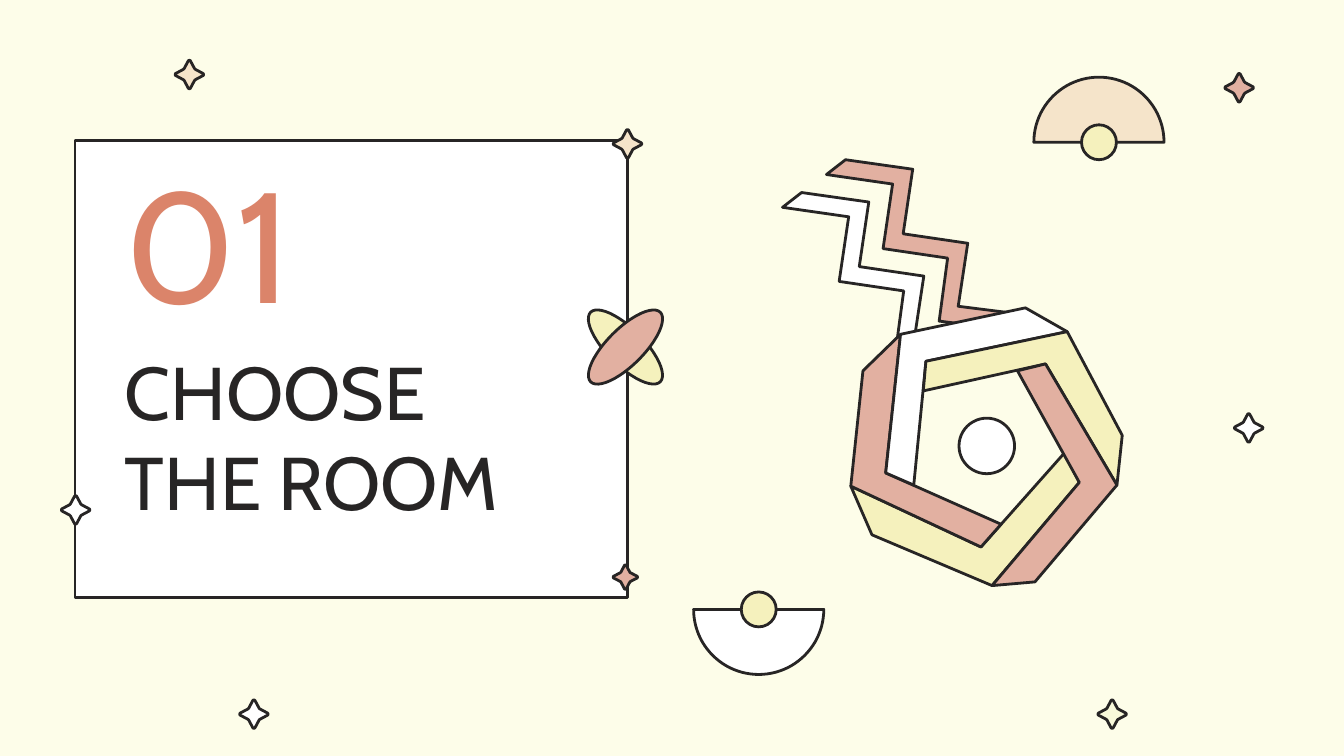
"""Build the section slide "01 Choose the room" with its geometric ornaments."""
from math import cos, pi, sin

from pptx import Presentation
from pptx.dml.color import RGBColor
from pptx.enum.shapes import MSO_SHAPE
from pptx.enum.text import MSO_ANCHOR
from pptx.util import Cm, Pt

CREAM = RGBColor(0xFD, 0xFD, 0xE9)
INK = RGBColor(0x27, 0x25, 0x25)
WHITE = RGBColor(0xFF, 0xFF, 0xFF)
ROSE = RGBColor(0xE2, 0xB0, 0xA1)
PEACH = RGBColor(0xF5, 0xE4, 0xCA)
LEMON = RGBColor(0xF5, 0xF1, 0xBD)
PALE = RGBColor(0xF8, 0xF9, 0xDA)
CORAL = RGBColor(0xDB, 0x84, 0x6A)

STARS = [
    (11.82, 10.91, 0.23, ROSE),
    (11.86, 2.72, 0.27, PEACH),
    (21.02, 13.5, 0.27, PALE),
    (23.6, 8.09, 0.27, WHITE),
    (4.8, 13.5, 0.27, WHITE),
    (1.43, 9.64, 0.27, WHITE),
    (3.58, 1.41, 0.27, PEACH),
    (23.42, 1.66, 0.27, ROSE),
]
ZIGZAG = [
    (17.25, 3.2), (15.98, 3.02), (15.62, 3.3), (16.87, 3.48), (16.69, 4.7),
    (17.91, 4.88), (17.75, 6.07), (18.92, 6.22), (18.89, 6.5), (19.23, 6.4),
    (19.3, 5.94), (18.11, 5.79), (18.29, 4.6), (17.07, 4.42),
]
BANDS = [
    (LEMON, [(20.12, 8.56), (18.54, 10.34), (16.08, 9.19),
             (16.48, 10.11), (18.75, 11.07), (20.4, 9.12)]),
    (ROSE, [(17.02, 6.32), (16.31, 7.01), (16.08, 9.19),
            (18.54, 10.34), (18.92, 9.91), (16.74, 8.94)]),
    (WHITE, [(20.17, 6.27), (19.38, 5.82), (17.02, 6.32),
             (16.74, 8.94), (17.27, 9.17), (17.5, 6.83)]),
    (LEMON, [(20.17, 6.27), (17.5, 6.83), (17.45, 7.39),
             (19.76, 6.88), (21.11, 9.17), (21.21, 8.23)]),
    (ROSE, [(19.76, 6.88), (19.23, 7.01), (20.4, 9.12),
            (18.75, 11.07), (19.56, 11), (21.11, 9.17)]),
]


def style(sp, fill):
    sp.shadow.inherit = False
    sp.fill.solid()
    sp.fill.fore_color.rgb = fill
    sp.line.color.rgb = INK
    sp.line.width = Pt(1.5)


def add_preset(s, kind, x, y, w, h, fill, rotation=0):
    sp = s.shapes.add_shape(kind, Cm(x), Cm(y), Cm(w), Cm(h))
    sp.rotation = rotation
    style(sp, fill)


def add_oval(s, cx, cy, w, h, fill, rotation=0):
    add_preset(s, MSO_SHAPE.OVAL, cx - w / 2, cy - h / 2, w, h, fill, rotation)


def add_polygon(s, points, fill):
    start, *rest = [(Cm(x), Cm(y)) for x, y in points]
    builder = s.shapes.build_freeform(*start)
    builder.add_line_segments(rest, close=True)
    style(builder.convert_to_shape(), fill)


def add_star(s, cx, cy, radius, fill):
    points = []
    x_axis, y_axis = 1, 0
    for _ in range(4):
        for u, v in [(0.97, -0.07), (1, 0), (0.97, 0.07), (0.42, 0.36), (0.36, 0.42)]:
            points.append((cx + radius * (u * x_axis - v * y_axis),
                           cy + radius * (u * y_axis + v * x_axis)))
        x_axis, y_axis = -y_axis, x_axis
    add_polygon(s, points, fill)


def add_dome(s, cx, cy, fill, side):
    """Draw a half disc above (side -1) or below (side 1) its knob."""
    radius, steps = 1.23, 48
    angles = [pi * i / steps for i in range(steps + 1)]
    arc = [(cx + radius * cos(a), cy + side * radius * sin(a)) for a in angles]
    add_polygon(s, arc, fill)
    add_oval(s, cx, cy, 0.66, 0.66, LEMON)


def add_text(s, text, x, y, w, h, *, size, color, font="Cabin"):
    tf = s.shapes.add_textbox(Cm(x), Cm(y), Cm(w), Cm(h)).text_frame
    tf.word_wrap = True
    tf.vertical_anchor = MSO_ANCHOR.MIDDLE
    tf.margin_left = tf.margin_right = tf.margin_top = tf.margin_bottom = Cm(0.25)
    r = tf.paragraphs[0].add_run()
    r.text = text
    r.font.name = font
    r.font.size = Pt(size)
    r.font.color.rgb = color


def main():
    prs = Presentation()
    prs.slide_width, prs.slide_height = Cm(25.4), Cm(14.29)
    s = prs.slides.add_slide(prs.slide_layouts[6])
    s.background.fill.solid()
    s.background.fill.fore_color.rgb = CREAM

    add_preset(s, MSO_SHAPE.RECTANGLE, 1.42, 2.66, 10.44, 8.64, WHITE)
    for star in STARS:
        add_star(s, *star)
    add_text(s, "CHOOSE THE ROOM", 2.11, 6.19, 8.71, 4.09, size=40, color=INK)
    add_text(s, "01", 2.11, 3.38, 4.78, 2.34, size=84, color=CORAL)

    add_polygon(s, ZIGZAG, ROSE)
    add_polygon(s, [(x - 0.83, y + 0.62) for x, y in ZIGZAG], WHITE)
    for fill, points in BANDS:
        add_polygon(s, points, fill)
    add_oval(s, 18.65, 8.43, 1.05, 1.05, WHITE)

    add_dome(s, 20.77, 2.69, PEACH, -1)
    add_dome(s, 14.34, 11.52, WHITE, 1)
    for fill, rotation in [(LEMON, 45), (ROSE, 135)]:
        add_oval(s, 11.82, 6.56, 1.86, 0.69, fill, rotation)

    prs.save("out.pptx")


if __name__ == "__main__":
    main()
